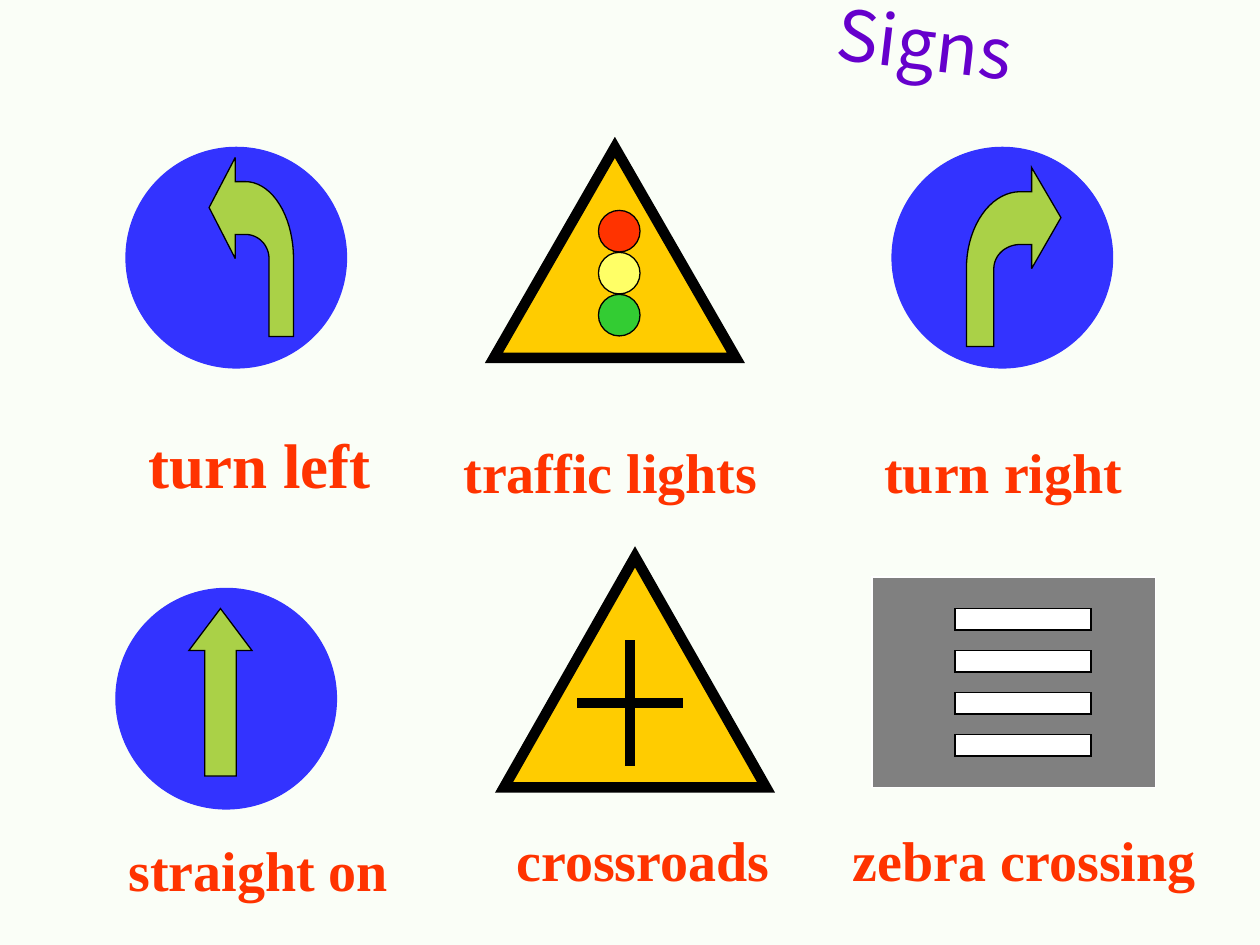
import math
from pptx import Presentation
from pptx.dml.color import RGBColor
from pptx.enum import shapes, text
from pptx.oxml import parse_xml
from pptx.oxml.ns import nsdecls
from pptx.util import Inches, Pt

MSO = shapes.MSO_SHAPE


def rgb(value):
    return RGBColor.from_string(value)


def style(sp, fill, line="000000", width=0.75):
    sp.shadow.inherit = False
    sp.fill.solid()
    sp.fill.fore_color.rgb = rgb(fill)
    sp.line.color.rgb = rgb(line)
    sp.line.width = Pt(width)
    sp.line._get_or_add_ln().append(parse_xml(f'<a:miter {nsdecls("a")} lim="800000"/>'))


prs = Presentation()
prs.slide_width = Inches(10)
prs.slide_height = Inches(7.5)
s = prs.slides.add_slide(prs.slide_layouts[6])
s.background.fill.solid()
s.background.fill.fore_color.rgb = rgb("FAFEF7")

signs = [
    (MSO.OVAL, 1, 1.17, 1.75, 1.75, "3333FF", "3333FF", 0.75),
    (MSO.OVAL, 0.92, 4.67, 1.75, 1.75, "3333FF", "3333FF", 0.75),
    (MSO.OVAL, 7.08, 1.17, 1.75, 1.75, "3333FF", "3333FF", 0.75),
    (MSO.ISOSCELES_TRIANGLE, 3.92, 1.17, 1.92, 1.67, "FFCC00", "000000", 6),
    (MSO.ISOSCELES_TRIANGLE, 4, 4.42, 2.08, 1.83, "FFCC00", "000000", 6),
    (MSO.FLOWCHART_PROCESS, 6.92, 4.58, 2.25, 1.67, "808080", "FFFFFF", 0.75),
]
for kind, x, y, w, h, fill, line, width in signs:
    sp = s.shapes.add_shape(kind, Inches(x), Inches(y), Inches(w), Inches(h))
    style(sp, fill, line, width)

angles = [math.radians(a) for a in range(0, 91, 5)]
outer = [(0.57 - 0.57 * math.sin(a), 0.565 - 0.43 * math.cos(a)) for a in angles]
inner = [(0.57 - 0.28 * math.cos(a), 0.565 - 0.135 * math.sin(a)) for a in angles]
bend = [(1, 0.28), (0.69, 0), (0.69, 0.135), *outer, (0, 1), (0.29, 1),
        *inner, (0.69, 0.43), (0.69, 0.565)]
for stem_x, y, w in [(2.33, 1.25, -0.67), (7.67, 1.33, 0.75)]:
    points = [(Inches(stem_x + w * px), Inches(y + 1.42 * py)) for px, py in bend]
    builder = s.shapes.build_freeform(*points[0])
    builder.add_line_segments(points[1:], close=True)
    style(builder.convert_to_shape(), "AAD147")

sp = s.shapes.add_shape(MSO.UP_ARROW, Inches(1.5), Inches(4.83), Inches(0.5), Inches(1.33))
sp.adjustments[0] = 0.5
sp.adjustments[1] = 0.666
style(sp, "AAD147")

for i, color in enumerate(["FF3300", "FFFF66", "33CC33"]):
    sp = s.shapes.add_shape(MSO.OVAL, Inches(4.75), Inches(1.67 + i / 3),
                            Inches(0.33), Inches(0.33))
    style(sp, color)

for x1, y1, x2, y2 in [(4.58, 5.58, 5.42, 5.58), (5, 5.08, 5, 6.08)]:
    road = s.shapes.add_connector(shapes.MSO_CONNECTOR.STRAIGHT,
                                  Inches(x1), Inches(y1), Inches(x2), Inches(y2))
    road.line.color.rgb = rgb("000000")
    road.line.width = Pt(6)
    road._element.spPr.append(parse_xml(f'<a:effectLst {nsdecls("a")}/>'))

for i in range(4):
    sp = s.shapes.add_shape(MSO.RECTANGLE, Inches(7.58), Inches(4.83 + i / 3),
                            Inches(1.08), Inches(0.17))
    style(sp, "FFFFFF")

labels = [
    ("turn left", 1.08, 3.33, 2.17, 0.7, 36),
    ("traffic lights", 3.58, 3.42, 3.08, 0.63, 32),
    ("turn right", 6.92, 3.42, 3.08, 0.63, 32),
    ("straight on", 0.92, 6.58, 3.08, 0.63, 32),
    ("crossroads", 4, 6.5, 3.08, 0.63, 32),
    ("zebra crossing", 6.67, 6.5, 3.08, 0.63, 32),
]
for label, x, y, w, h, size in labels:
    sp = s.shapes.add_textbox(Inches(x), Inches(y), Inches(w), Inches(h))
    tf = sp.text_frame
    tf.word_wrap = True
    tf.auto_size = text.MSO_AUTO_SIZE.SHAPE_TO_FIT_TEXT
    tf.text = label
    r = tf.paragraphs[0].runs[0]
    r.font.name = "Times New Roman"
    r.font.size = Pt(size)
    r.font.bold = True
    r.font.color.rgb = rgb("FF3300")

title = s.shapes.add_textbox(Inches(5.92), Inches(-0.05), Inches(2.75), Inches(1.55))
title.rotation = 6.7
tf = title.text_frame
tf.word_wrap = False
tf.text = "Signs"
p = tf.paragraphs[0]
p.alignment = text.PP_ALIGN.CENTER
r = p.runs[0]
r.font.name = "Noto Sans CJK SC"
r.font.size = Pt(40)
r.font.color.rgb = rgb("6600CC")

prs.save("out.pptx")
